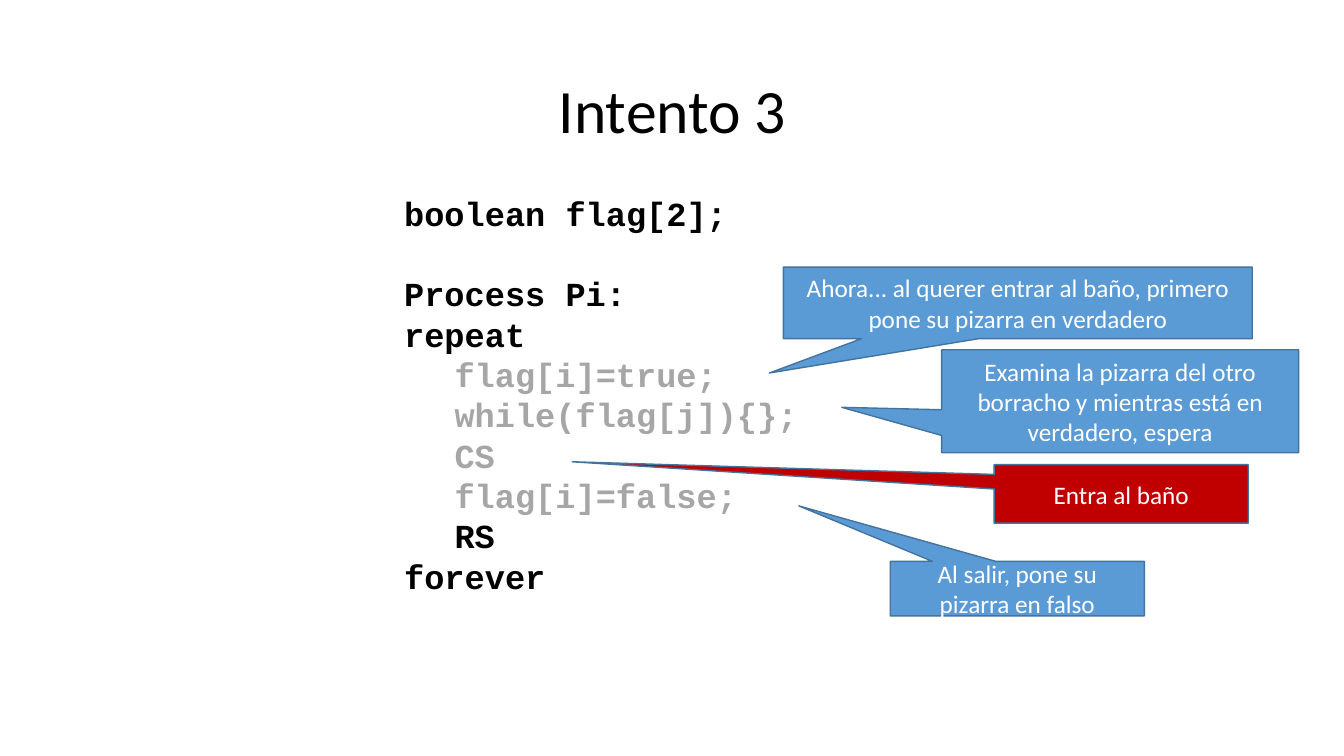
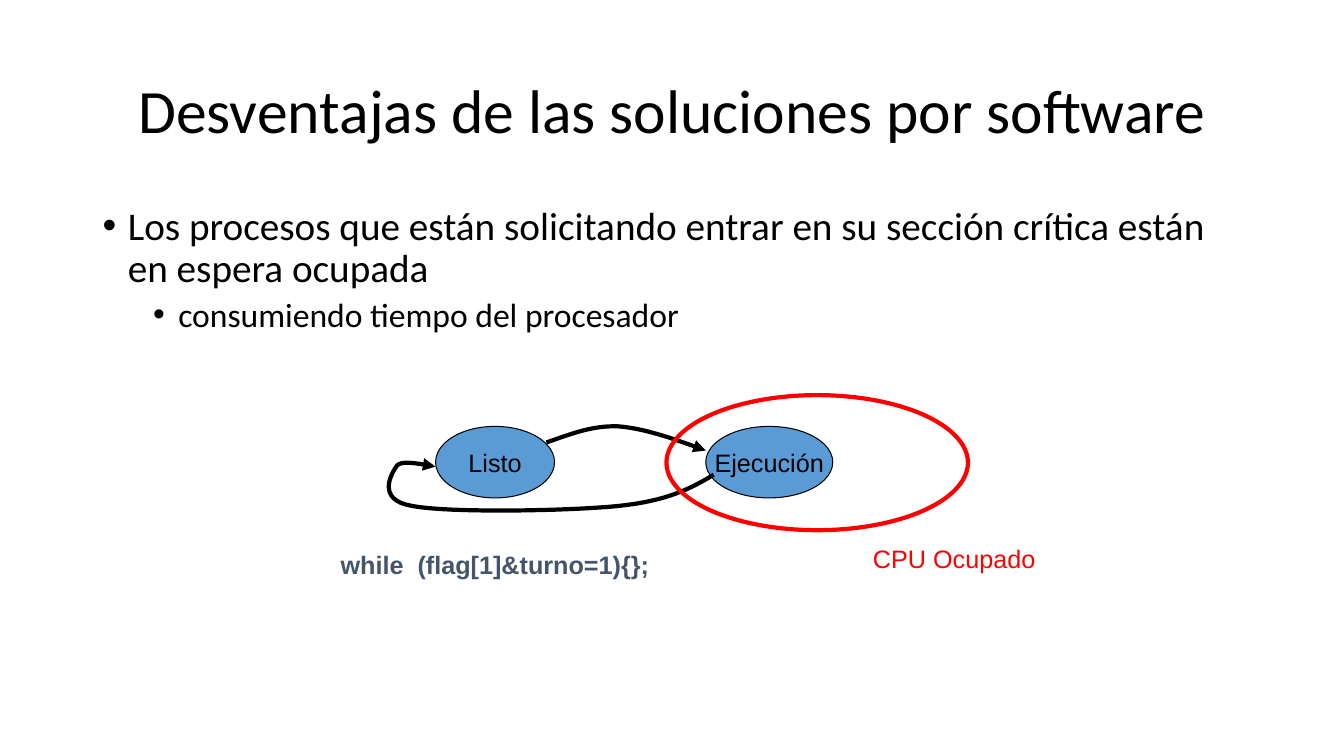
import pptx
import pptx.util
import pptx.dml.color
import pptx.enum.shapes
import pptx.enum.text
import pptx.oxml
import pptx.oxml.ns

RGB = pptx.dml.color.RGBColor
SHAPE = pptx.enum.shapes.MSO_SHAPE
ALIGN = pptx.enum.text.PP_ALIGN
ANCHOR = pptx.enum.text.MSO_ANCHOR

BLACK = RGB(0x00, 0x00, 0x00)
WHITE = RGB(0xFF, 0xFF, 0xFF)
GRAY = RGB(0xA6, 0xA6, 0xA6)
BLUE = RGB(0x5B, 0x9B, 0xD5)
EDGE = RGB(0x43, 0x73, 0x9E)
SLATE = RGB(0x44, 0x54, 0x6A)
CRIMSON = RGB(0xC0, 0x00, 0x00)
RED = RGB(0xFF, 0x00, 0x00)

SCALE = 9144  # EMU per px, 100 px to the inch
STEPS = 16  # straight pieces per curve


def px(*sizes):
    return [pptx.util.Emu(size * SCALE) for size in sizes]


def style(para, size, face, color, bold=False, align=ALIGN.LEFT):
    para.alignment = align
    font = para.font
    font.size = pptx.util.Pt(size)
    font.name = face
    font.bold = bold
    font.color.rgb = color


def add_box(slide, box, wrap=True, anchor=ANCHOR.TOP):
    frame = slide.shapes.add_textbox(*px(*box)).text_frame
    frame.word_wrap = wrap
    frame.vertical_anchor = anchor
    return frame


def add_title(slide, text):
    para = add_box(slide, (92, 40, 1150, 145), anchor=ANCHOR.MIDDLE).paragraphs[0]
    para.text = text
    para.line_spacing = 0.9
    style(para, 44, "Calibri", BLACK, align=ALIGN.CENTER)


def add_label(slide, box, text, color, bold=False):
    para = add_box(slide, box, wrap=False).paragraphs[0]
    para.text = text
    style(para, 18, "Arial", color, bold)


def add_code(slide, box, lines):
    """Each line is its text, colour and the space before it in points."""
    frame = add_box(slide, box)
    for i, (text, color, gap) in enumerate(lines):
        para = frame.add_paragraph() if i else frame.paragraphs[0]
        para.text = text
        para.space_before = pptx.util.Pt(gap)
        style(para, 24, "Courier New", color, bold=True)


def add_bullets(slide, box, items):
    """Each item is its text, size, left indent in px and space before."""
    frame = add_box(slide, box)
    for i, (text, size, left, gap) in enumerate(items):
        para = frame.add_paragraph() if i else frame.paragraphs[0]
        para.text = text
        props = para._p.get_or_add_pPr()
        props.set("marL", str(left * SCALE))
        props.set("indent", str(-25 * SCALE))
        space = pptx.oxml.ns.nsdecls("a")
        for xml in (f'<a:buFont {space} typeface="Arial"/>',
                    f'<a:buChar {space} char="•"/>'):
            props.append(pptx.oxml.parse_xml(xml))
        para.line_spacing = 0.9
        para.space_before = pptx.util.Pt(gap)
        style(para, size, "Calibri", BLACK)


def paint(shape, fill, line, width):
    shape.shadow.inherit = False
    if fill is None:
        shape.fill.background()
    else:
        shape.fill.solid()
        shape.fill.fore_color.rgb = fill
    shape.line.color.rgb = line
    shape.line.width = pptx.util.Pt(width)


def fill_text(shape, text, face, color, wrap):
    frame = shape.text_frame
    frame.word_wrap = wrap
    frame.vertical_anchor = ANCHOR.MIDDLE
    para = frame.paragraphs[0]
    para.text = text
    style(para, 18, face, color, align=ALIGN.CENTER)


def add_callout(slide, box, tip, fill, text):
    shape = slide.shapes.add_shape(SHAPE.RECTANGULAR_CALLOUT, *px(*box))
    shape.adjustments[0], shape.adjustments[1] = tip
    paint(shape, fill, EDGE, 1)
    fill_text(shape, text, "Calibri", WHITE, wrap=True)


def add_oval(slide, box, fill, line, width):
    shape = slide.shapes.add_shape(SHAPE.OVAL, *px(*box))
    paint(shape, fill, line, width)
    return shape


def add_state(slide, box, text):
    oval = add_oval(slide, box, BLUE, BLACK, 0.75)
    fill_text(oval, text, "Arial", BLACK, wrap=False)


def bezier(a, b, c, d, t):
    s = 1 - t
    return tuple(s**3 * p + 3 * s * s * t * q + 3 * s * t * t * r + t**3 * u
                 for p, q, r, u in zip(a, b, c, d))


def add_curve(slide, start, curves):
    """Draw joined cubic curves, with an arrowhead at the end."""
    points = [start]
    for b, c, d in curves:
        a = points[-1]
        points += [bezier(a, b, c, d, i / STEPS) for i in range(1, STEPS + 1)]
    maker = slide.shapes.build_freeform(
        round(start[0] * SCALE), round(start[1] * SCALE))
    maker.add_line_segments(
        [(round(x * SCALE), round(y * SCALE)) for x, y in points[1:]], close=False)
    shape = maker.convert_to_shape()
    paint(shape, None, BLACK, 3)
    shape.line._get_or_add_ln().append(pptx.oxml.parse_xml(
        f'<a:tailEnd {pptx.oxml.ns.nsdecls("a")} type="triangle"/>'))


def build_code(slide):
    add_title(slide, "Intento 3")
    add_code(slide, (391, 186, 471, 414), [
        ("boolean flag[2];", BLACK, 0),
        ("Process Pi:", BLACK, 29),
        ("repeat", BLACK, 0),
        ("\tflag[i]=true;", GRAY, 0),
        ("\twhile(flag[j]){};", GRAY, 0),
        ("\tCS", GRAY, 0),
        ("\tflag[i]=false;", GRAY, 0),
        ("\tRS", BLACK, 0),
        ("forever", BLACK, 0),
    ])
    # Remarks on the code lines
    for box, tip, fill, text in [
        ((777, 265, 465, 71), (-0.53, 0.98), BLUE,
         "Ahora... al querer entrar al baño, primero pone su pizarra en verdadero"),
        ((934, 347, 354, 102), (-0.78, 0.06), BLUE,
         "Examina la pizarra del otro borracho y mientras está en verdadero, espera"),
        ((986, 461, 252, 58), (-2.16, -0.55), CRIMSON, "Entra al baño"),
        ((883, 557, 252, 54), (-0.86, -1.52), BLUE,
         "Al salir, pone su pizarra en falso"),
    ]:
        add_callout(slide, box, tip, fill, text)


def build_states(slide):
    add_title(slide, "Desventajas de las soluciones por software")
    add_bullets(slide, (92, 200, 1150, 476), [
        ("Los procesos que están solicitando entrar en su sección crítica "
         "están en espera ocupada", 28, 25, 0),
        ("consumiendo tiempo del procesador", 24, 75, 5),
    ])
    # State diagram
    add_label(slide, (328, 540, 326, 40), "while  (flag[1]&turno=1){};", SLATE, bold=True)
    add_state(slide, (700, 423, 126, 71), "Ejecución")
    add_state(slide, (432, 423, 118, 71), "Listo")
    add_curve(slide, (542, 439), [
        ((565, 431), (587, 422), (613, 423)),
        ((640, 425), (670, 436), (700, 447)),
    ])
    add_curve(slide, (708, 471), [
        ((686, 484), (663, 497), (613, 502)),
        ((564, 507), (445, 509), (409, 502)),
        ((372, 496), (389, 469), (393, 463)),
        ((397, 456), (415, 460), (432, 463)),
    ])
    # Busy processor
    add_oval(slide, (661, 392, 299, 134), None, RED, 3)
    add_label(slide, (856, 534, 181, 40), "CPU Ocupado", RED)


def main():
    deck = pptx.Presentation()
    deck.slide_width, deck.slide_height = px(1333, 750)
    for build in (build_code, build_states):
        build(deck.slides.add_slide(deck.slide_layouts[6]))
    deck.save("out.pptx")


if __name__ == "__main__":
    main()
